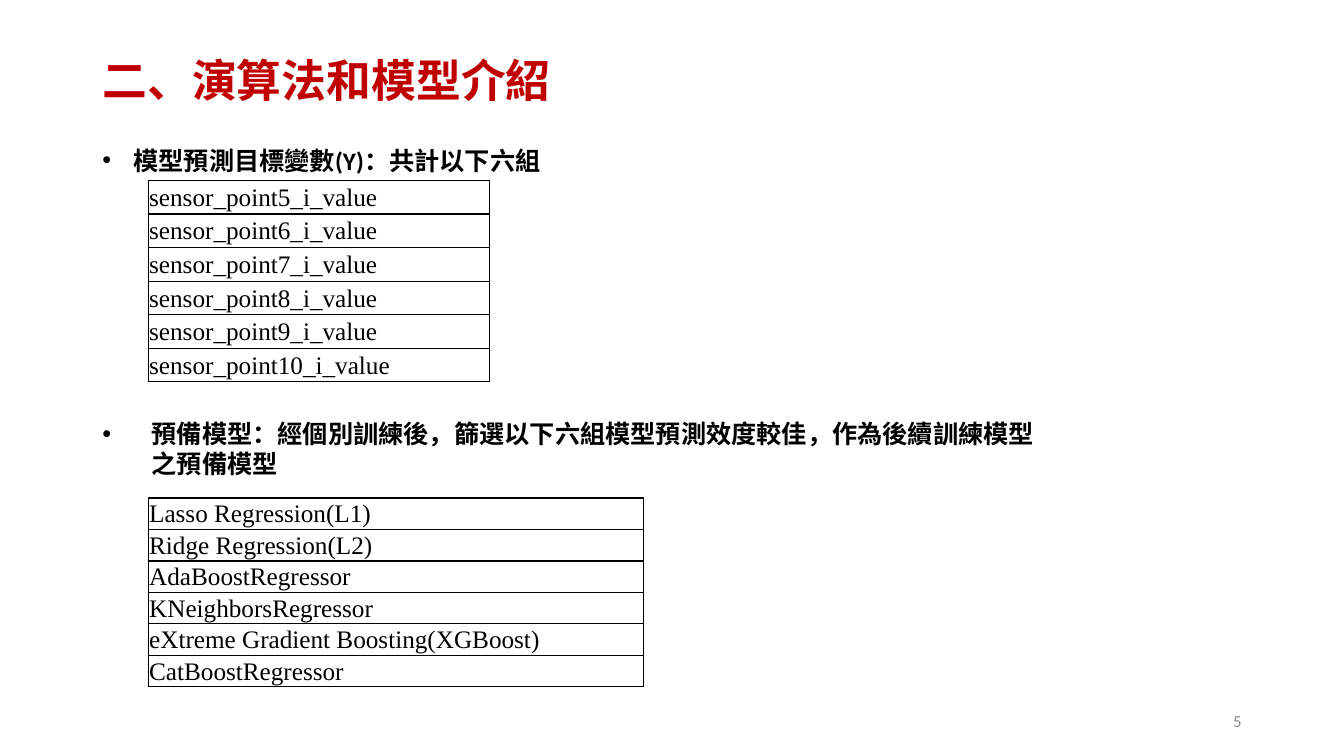
from dataclasses import dataclass

from lxml import etree
from pptx import Presentation
from pptx.dml.color import RGBColor
from pptx.enum.text import MSO_ANCHOR, MSO_AUTO_SIZE, PP_ALIGN
from pptx.oxml.ns import qn
from pptx.util import Inches, Pt

LEFT, RIGHT = PP_ALIGN.LEFT, PP_ALIGN.RIGHT
TOP, MIDDLE = MSO_ANCHOR.TOP, MSO_ANCHOR.MIDDLE
FIXED, GROW = MSO_AUTO_SIZE.NONE, MSO_AUTO_SIZE.SHAPE_TO_FIT_TEXT
TITLE_ONLY = 5
COLS, ROWS = 160, 90


@dataclass(frozen=True)
class Theme:
    accent: str = "C00000"
    ink: str = "000000"
    muted: str = "8C8C8C"
    title_size: int = 32
    body_size: int = 18
    note_size: int = 12
    latin: str = "Calibri"
    cjk: str = "Noto Sans CJK SC"
    serif: str = "Times New Roman"
    border: float = 1


def write(tf, text, *, size, color, font, ea=None, bold=False, align=LEFT,
          spacing=None):
    p = tf.paragraphs[0]
    p.alignment = align
    if spacing:
        p.line_spacing = spacing
    r = p.add_run()
    r.text = text
    r.font.size = Pt(size)
    r.font.bold = bold
    r.font.name = font
    r.font.color.rgb = RGBColor.from_string(color)
    if ea:
        latin = r._r.rPr.find(qn("a:latin"))
        latin.addnext(latin.makeelement(qn("a:ea"), {"typeface": ea}))
    return p


def set_bullet(p, indent):
    """Give the paragraph a round bullet hanging by indent inches."""
    pPr = p._p.get_or_add_pPr()
    pPr.set("marL", str(Inches(indent)))
    pPr.set("indent", str(-Inches(indent)))
    etree.SubElement(pPr, qn("a:buFont"), typeface="Arial")
    etree.SubElement(pPr, qn("a:buChar"), char="•")


def set_borders(cell, color, width):
    tcPr = cell._tc.get_or_add_tcPr()
    for i, side in enumerate(("lnL", "lnR", "lnT", "lnB")):
        ln = etree.Element(qn(f"a:{side}"), w=str(Pt(width)))
        fill = etree.SubElement(ln, qn("a:solidFill"))
        etree.SubElement(fill, qn("a:srgbClr"), val=color)
        tcPr.insert(i, ln)


class Deck:
    def __init__(self, prs, theme):
        self.theme = theme
        self.col = prs.slide_width / COLS
        self.row = prs.slide_height / ROWS
        self.s = prs.slides.add_slide(prs.slide_layouts[TITLE_ONLY])

    def box(self, x, y, w, h):
        """Turn grid columns and rows into lengths."""
        return (round(x * self.col), round(y * self.row),
                round(w * self.col), round(h * self.row))

    def title(self, text, *area):
        t = self.theme
        sp = self.s.shapes.title
        sp.left, sp.top, sp.width, sp.height = self.box(*area)
        tf = sp.text_frame
        tf.auto_size = FIXED
        tf.vertical_anchor = MIDDLE
        write(tf, text, size=t.title_size, color=t.accent, font=t.latin,
              ea=t.cjk, bold=True, spacing=0.9)

    def text(self, text, *area, anchor=TOP, auto_size=FIXED, **fmt):
        tf = self.s.shapes.add_textbox(*self.box(*area)).text_frame
        tf.word_wrap = True
        tf.auto_size = auto_size
        tf.vertical_anchor = anchor
        return write(tf, text, **fmt)

    def bullet(self, text, *area, indent):
        t = self.theme
        p = self.text(text, *area, auto_size=GROW, size=t.body_size,
                      color=t.ink, font=t.latin, ea=t.cjk, bold=True)
        set_bullet(p, indent)

    def page_number(self, number, *area):
        t = self.theme
        self.text(str(number), *area, anchor=MIDDLE, size=t.note_size,
                  color=t.muted, font=t.latin, align=RIGHT)

    def list_table(self, items, x, y, w, row_height):
        t = self.theme
        area = self.box(x, y, w, row_height * len(items))
        table = self.s.shapes.add_table(len(items), 1, *area).table
        table.first_row = table.horz_banding = False
        for row, item in zip(table.rows, items):
            row.height = round(row_height * self.row)
            cell = row.cells[0]
            cell.fill.background()
            cell.vertical_anchor = MIDDLE
            cell.margin_left = cell.margin_right = cell.margin_top = Inches(0.01)
            cell.margin_bottom = 0
            set_borders(cell, t.ink, t.border)
            write(cell.text_frame, item, size=t.body_size, color=t.ink,
                  font=t.serif)


def main():
    prs = Presentation()
    prs.slide_width, prs.slide_height = Inches(13.33), Inches(7.5)
    deck = Deck(prs, Theme())
    margin, table_left = 11, 17.64

    deck.title("二、演算法和模型介紹", margin, 3, 138, 13.68)
    deck.bullet("模型預測目標變數(Y)：共計以下六組",
                margin, 16.68, 89.4, 4.8, indent=0.31)
    targets = [f"sensor_point{n}_i_value" for n in range(5, 11)]
    deck.list_table(targets, table_left, 21.48, 40.6, 4)

    deck.bullet("預備模型：經個別訓練後，篩選以下六組模型預測效度較佳，"
                "作為後續訓練模型之預備模型",
                margin, 49.2, 114.72, 8.5, indent=0.49)
    models = ["Lasso Regression(L1)", "Ridge Regression(L2)",
              "AdaBoostRegressor", "KNeighborsRegressor",
              "eXtreme Gradient Boosting(XGBoost)", "CatBoostRegressor"]
    deck.list_table(models, table_left, 59.28, 58.95, 3.75)
    deck.page_number(5, 113, 83.4, 36, 4.8)
    prs.save("out.pptx")


if __name__ == "__main__":
    main()
